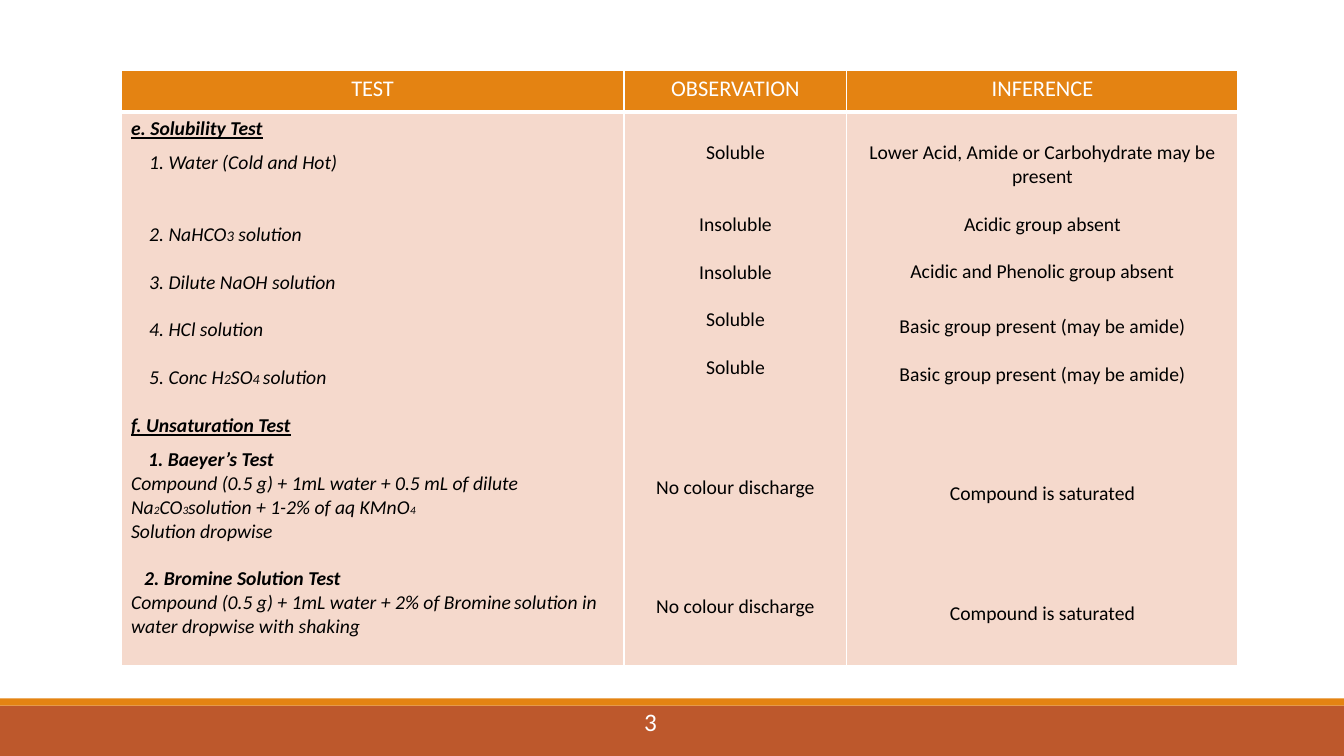
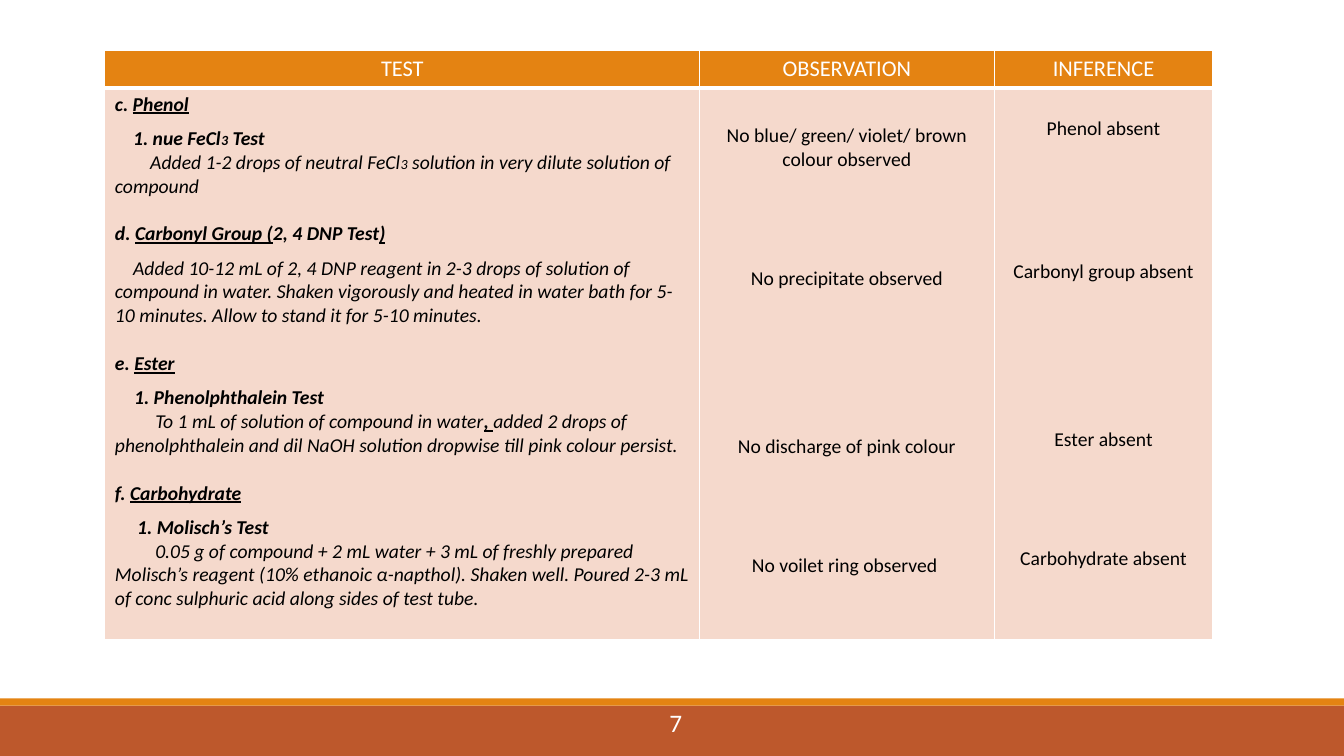
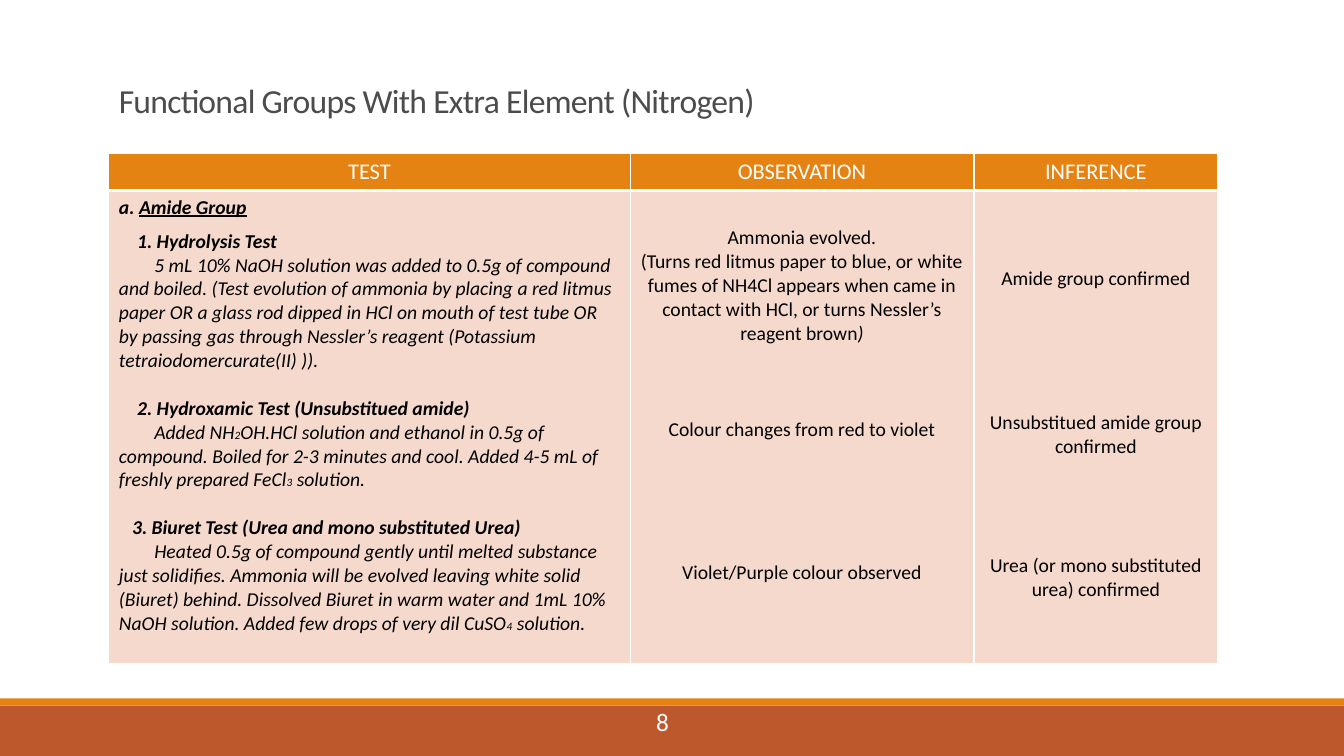
from dataclasses import dataclass

from lxml.etree import SubElement
from pptx import Presentation
from pptx.dml.color import RGBColor
from pptx.enum.shapes import MSO_SHAPE
from pptx.enum.text import MSO_ANCHOR, PP_ALIGN
from pptx.oxml.ns import qn
from pptx.util import Inches, Pt

FONT = "Calibri"
WHITE, BLACK, GREY = "FFFFFF", "000000", "4C4C4C"
ORANGE, RUST, PEACH = "E48312", "BD582C", "F5D9CC"
HEADINGS = ("TEST", "OBSERVATION", "INFERENCE")
LINE, TINY, TALL = 17.1, 7.3, 22.0
STEP, DETAIL = 0.18, 0.35
CELL_MARGIN = 0.05
MARKS = {"[": "]", "{": "}", "<": ">"}


@dataclass(frozen=True)
class Entry:
    text: str
    gap: float = 0
    indent: float = 0
    bold: bool = False
    small: float = 10


@dataclass(frozen=True)
class Report:
    number: str
    number_at: tuple[float, float]
    table_at: tuple[float, float]
    widths: tuple[float, float, float]
    heights: tuple[float, float]
    tests: list[Entry]
    observations: list[Entry]
    inferences: list[Entry]
    title: str = ""


def rgb(value: str) -> RGBColor:
    return RGBColor.from_string(value)


def split_marks(text: str) -> list[tuple[str, str]]:
    pieces, mark, piece = [], "", ""
    for letter in text:
        opens = not mark and letter in MARKS
        if opens or (mark and letter == MARKS[mark]):
            pieces.append((mark, piece))
            mark, piece = (letter if opens else ""), ""
        else:
            piece += letter
    pieces.append((mark, piece))
    return [pair for pair in pieces if pair[1]]


def write(paragraph, text: str, *, size: float, color: str, bold: bool = False,
          italic: bool = False, small: float = 10, align=PP_ALIGN.LEFT,
          gap: float = 0, indent: float = 0, tracking: float = 0) -> None:
    paragraph.alignment = align
    paragraph.space_before = Pt(gap)
    if indent:
        paragraph._p.get_or_add_pPr().set("indent", str(Inches(indent)))
    for mark, piece in split_marks(text):
        run = paragraph.add_run()
        run.text = piece
        font = run.font
        font.name = FONT
        font.size = Pt(small if mark == "{" else size)
        font.color.rgb = rgb(color)
        font.bold = bold or mark == "["
        font.italic = italic or mark == "<"
        font.underline = mark == "["
        if tracking:
            run._r.get_or_add_rPr().set("spc", str(int(tracking * 100)))


def add_band(slide, top: float, height: float, color: str) -> None:
    band = slide.shapes.add_shape(
        MSO_SHAPE.RECTANGLE, 0, Inches(top), Inches(13.33), Inches(height))
    band.shadow.inherit = False
    band.fill.solid()
    band.fill.fore_color.rgb = rgb(color)
    band.line.fill.background()


def add_box(slide, left: float, top: float, width: float, height: float):
    frame = slide.shapes.add_textbox(
        Inches(left), Inches(top), Inches(width), Inches(height)).text_frame
    frame.word_wrap = True
    return frame


def style_cell(cell, color: str, top: float, bottom: float) -> None:
    properties = cell._tc.get_or_add_tcPr()
    for side, width in (("L", 1), ("R", 1), ("T", top), ("B", bottom)):
        border = SubElement(properties, qn(f"a:ln{side}"), w=str(Pt(width)))
        fill = SubElement(border, qn("a:solidFill"))
        SubElement(fill, qn("a:srgbClr"), val=WHITE)
    cell.fill.solid()
    cell.fill.fore_color.rgb = rgb(color)


def fill_cell(cell, entries: list[Entry], italic: bool, align) -> None:
    cell.margin_top = Inches(CELL_MARGIN) + Pt(entries[0].gap)
    frame = cell.text_frame
    for index, entry in enumerate(entries):
        paragraph = frame.add_paragraph() if index else frame.paragraphs[0]
        write(paragraph, entry.text, size=14, color=BLACK, bold=entry.bold,
              italic=italic, small=entry.small, align=align,
              gap=entry.gap if index else 0, indent=entry.indent)


def add_report_table(slide, report: Report) -> None:
    left, top = report.table_at
    table = slide.shapes.add_table(
        2, 3, Inches(left), Inches(top), Inches(sum(report.widths)),
        Inches(sum(report.heights))).table
    table.horz_banding = False
    for row, height in zip(table.rows, report.heights):
        row.height = Inches(height)
    bodies = (report.tests, report.observations, report.inferences)
    for index, (heading, entries) in enumerate(zip(HEADINGS, bodies)):
        table.columns[index].width = Inches(report.widths[index])
        header, body = table.cell(0, index), table.cell(1, index)
        style_cell(header, ORANGE, 1, 3)
        style_cell(body, PEACH, 3, 1)
        write(header.text_frame.paragraphs[0], heading, size=16, color=WHITE,
              align=PP_ALIGN.CENTER)
        is_test = index == 0
        fill_cell(body, entries, is_test,
                  PP_ALIGN.LEFT if is_test else PP_ALIGN.CENTER)


def add_report(deck, report: Report) -> None:
    slide = deck.slides.add_slide(deck.slide_layouts[6])
    add_band(slide, 7, 0.5, RUST)
    add_band(slide, 6.93, 0.07, ORANGE)
    if report.title:
        frame = add_box(slide, 1.08, 0.8, 11, 0.44)
        frame.vertical_anchor = MSO_ANCHOR.BOTTOM
        frame.paragraphs[0].line_spacing = 0.75
        write(frame.paragraphs[0], report.title, size=24, color=GREY,
              tracking=-0.5)
    add_report_table(slide, report)
    number = add_box(slide, *report.number_at, 0.34, 0.4)
    write(number.paragraphs[0], report.number, size=18, color=WHITE)


REPORTS = [
    Report(
        number="3", number_at=(6.29, 6.96), table_at=(1.2, 0.7),
        widths=(4.99, 2.21, 3.88), heights=(0.41, 5.49),
        tests=[
            Entry("[e. Solubility Test]"),
            Entry("1. Water (Cold and Hot)", TINY, STEP),
            Entry("2. NaHCO{3} solution", 2 * LINE, STEP, small=10.5),
            Entry("3. Dilute NaOH solution", LINE, STEP),
            Entry("4. HCl solution", LINE, STEP),
            Entry("5. Conc H{2}SO{4 }solution", LINE, STEP),
            Entry("[f. Unsaturation Test]", LINE),
            Entry("1. Baeyer’s Test", TINY, 0.17, bold=True),
            Entry("Compound (0.5 g) + 1mL water + 0.5 mL of dilute "
                  "Na{2}CO{3}solution + 1-2% of aq KMnO{4}", small=8),
            Entry("Solution dropwise"),
            Entry("2. Bromine Solution Test", LINE, 0.13, bold=True),
            Entry("Compound (0.5 g) + 1mL water + 2% of Bromine{ }solution in "
                  "water dropwise with shaking", small=8),
        ],
        observations=[
            Entry("Soluble", LINE),
            Entry("Insoluble", 2 * LINE),
            Entry("Insoluble", LINE),
            Entry("Soluble", LINE),
            Entry("Soluble", LINE),
            Entry("No colour discharge", 4 * LINE),
            Entry("No colour discharge", 4 * LINE),
        ],
        inferences=[
            Entry("Lower Acid, Amide or Carbohydrate may be present", LINE),
            Entry("Acidic group absent", LINE),
            Entry("Acidic and Phenolic group absent", LINE),
            Entry("Basic group present (may be amide)", TALL),
            Entry("Basic group present (may be amide)", LINE),
            Entry("Compound is saturated", 4 * LINE),
            Entry("Compound is saturated", 4 * LINE),
        ],
    ),
    Report(
        number="7", number_at=(6.54, 6.97), table_at=(1.04, 0.5),
        widths=(5.9, 2.92, 2.17), heights=(0.37, 5.48),
        tests=[
            Entry("c. [Phenol]", bold=True),
            Entry("1. nue FeCl{3} Test", TINY, STEP, bold=True),
            Entry("Added 1-2 drops of neutral FeCl{3} solution in very dilute "
                  "solution of compound", 0, DETAIL),
            Entry("d. [Carbonyl Group (]2, 4 DNP Test[)]", LINE, bold=True),
            Entry("Added 10-12 mL of 2, 4 DNP reagent in 2-3 drops of solution "
                  "of compound in water. Shaken vigorously and heated in water "
                  "bath for 5-10 minutes. Allow to stand it for 5-10 minutes.",
                  TINY, STEP),
            Entry("e. [Ester]", LINE, bold=True),
            Entry("1. Phenolphthalein Test", TINY, 0.19, bold=True),
            Entry("To 1 mL of solution of compound in water[, ]added 2 drops of "
                  "phenolphthalein and dil NaOH solution dropwise till pink "
                  "colour persist.", 0, 0.4),
            Entry("f. [Carbohydrate]", LINE, bold=True),
            Entry("1. Molisch’s Test", TINY, 0.22, bold=True),
            Entry("0.05 g of compound + 2 mL water + 3 mL of freshly prepared "
                  "Molisch’s reagent (10% ethanoic α-napthol). Shaken well. "
                  "Poured 2-3 mL of conc sulphuric acid along sides of test "
                  "tube.", 0, 0.4),
        ],
        observations=[
            Entry("No blue/ green/ violet/ brown colour observed", TALL),
            Entry("No precipitate observed", 4 * LINE),
            Entry("No discharge of pink colour", 6 * LINE),
            Entry("No voilet ring observed ", 4 * LINE),
        ],
        inferences=[
            Entry("Phenol absent", LINE),
            Entry("Carbonyl group absent", 5 * LINE),
            Entry("Ester absent", 6 * LINE),
            Entry("Carbohydrate absent", 4 * LINE),
        ],
    ),
    Report(
        title="Functional Groups With Extra Element (Nitrogen)",
        number="8", number_at=(6.41, 6.96), table_at=(1.08, 1.52),
        widths=(5.17, 3.41, 2.42), heights=(0.37, 4.69),
        tests=[
            Entry("a. [Amide Group]", bold=True),
            Entry("1. Hydrolysis Test", TINY, STEP, bold=True),
            Entry("5 mL 10% NaOH solution was added to 0.5g of compound and "
                  "boiled. (Test evolution of ammonia by placing a red litmus "
                  "paper OR a glass rod dipped in HCl on mouth of test tube OR "
                  "by passing gas through Nessler’s reagent (Potassium "
                  "tetraiodomercurate(II) )).", 0, DETAIL),
            Entry("2. Hydroxamic Test (Unsubstitued amide)", LINE, STEP,
                  bold=True),
            Entry("Added NH{2}OH.HCl solution and ethanol in 0.5g of compound. "
                  "Boiled for 2-3 minutes and cool. Added 4-5 mL of freshly "
                  "prepared FeCl{3} solution.", 0, DETAIL, small=8),
            Entry("3. Biuret Test (Urea and mono substituted Urea)", LINE, 0.13,
                  bold=True),
            Entry("Heated 0.5g of compound gently until melted substance just "
                  "solidifies. Ammonia will be evolved leaving white solid "
                  "(Biuret) behind. Dissolved Biuret in warm water and 1mL 10% "
                  "NaOH solution. Added few drops of very dil CuSO{4} solution.",
                  0, DETAIL, small=8),
        ],
        observations=[
            Entry("Ammonia evolved.", TALL),
            Entry("(Turns red litmus paper to blue, or white fumes of NH4Cl "
                  "appears when came in contact with HCl, or turns Nessler’s "
                  "reagent brown<)>"),
            Entry("Colour changes from red to violet", 3 * LINE),
            Entry("Violet/Purple colour observed", 5 * LINE),
        ],
        inferences=[
            Entry("Amide group confirmed", 3 * LINE),
            Entry("Unsubstitued amide group confirmed", 5 * LINE),
            Entry("Urea (or mono substituted urea) confirmed", 4 * LINE),
        ],
    ),
]


def main() -> None:
    deck = Presentation()
    deck.slide_width, deck.slide_height = Inches(13.33), Inches(7.5)
    for report in REPORTS:
        add_report(deck, report)
    deck.save("out.pptx")


if __name__ == "__main__":
    main()
